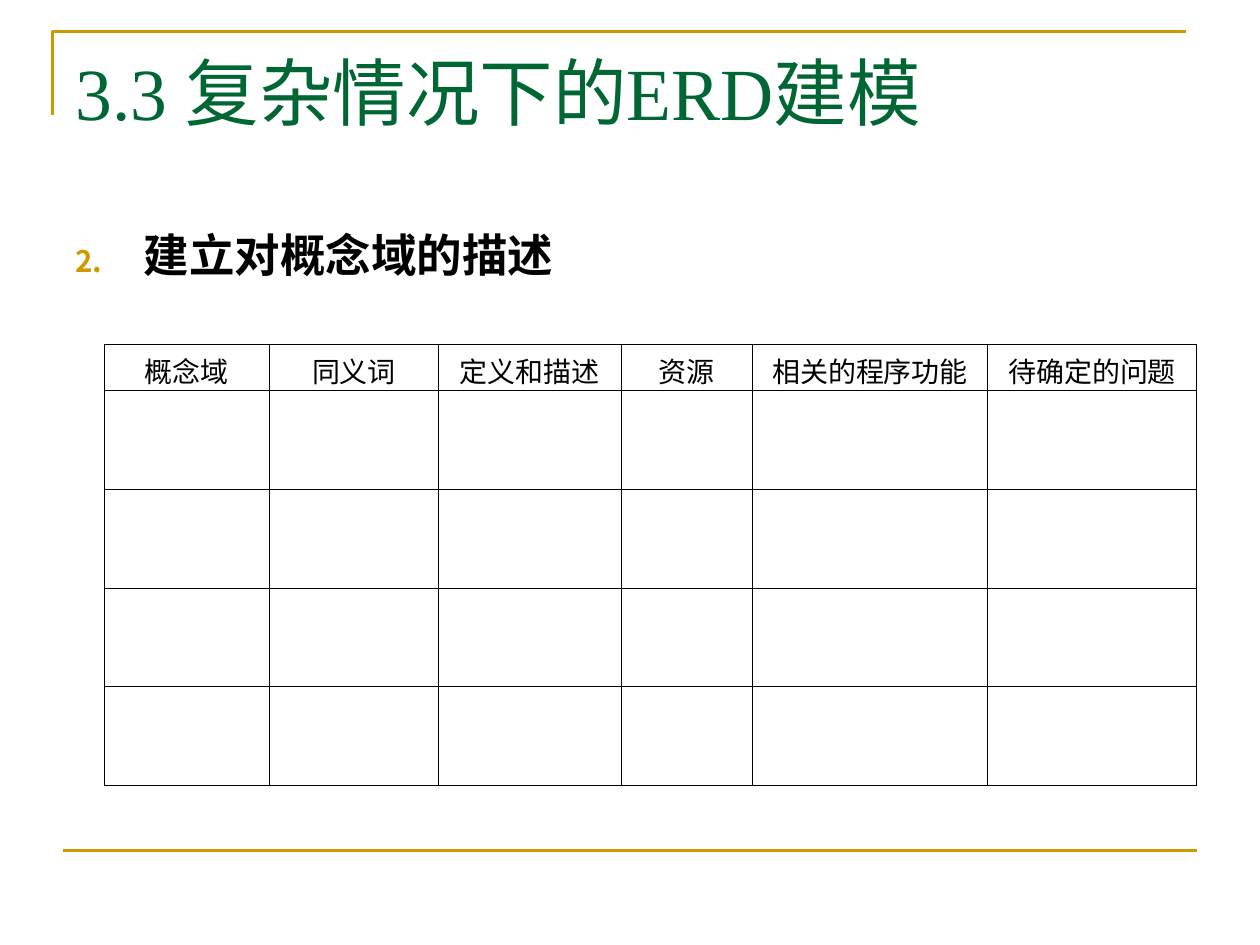
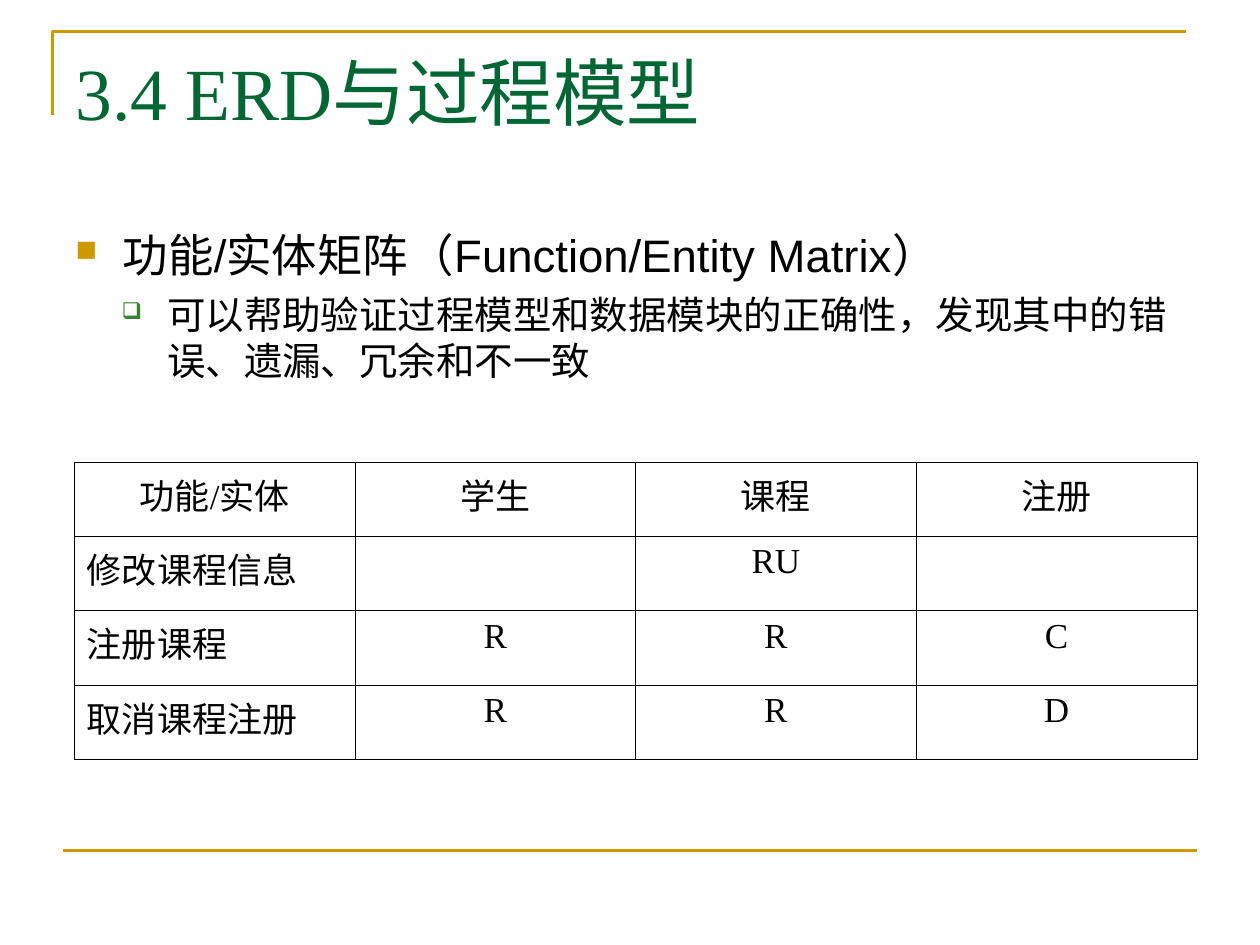
from lxml.etree import SubElement
from pptx import Presentation
from pptx.dml.color import RGBColor
from pptx.enum.shapes import MSO_CONNECTOR as Connector
from pptx.enum.text import MSO_ANCHOR as Anchor, MSO_AUTO_SIZE as AutoSize, PP_ALIGN as Align
from pptx.oxml.ns import qn
from pptx.util import Pt

COLORS = {"gold": "CC9900", "title": "006633", "leaf": "3B812F", "text": "000000"}
LATIN = "Times New Roman"
SANS = "Arial"

NUMBER = ("buAutoNum", {"type": "arabicPeriod", "startAt": "2"})
SQUARE = ("buChar", {"char": "■"})
BOX = ("buChar", {"char": "❑"})

PAGES = [
    {
        "title": "3.3 复杂情况下的ERD建模",
        "body_width": 318,
        "points": [
            {"text": "建立对概念域的描述", "level": 0, "size": 26, "bold": True, "margin": 39,
             "hang": 39, "before": 0, "bullet": NUMBER, "color": "gold", "scale": 65},
        ],
        "left": 59.5, "top": 196.5, "size": 16,
        "columns": [94.5, 96.5, 104.5, 75, 134.5, 119.5],
        "rows": [26.5] + [56.5] * 4,
        "cells": [["概念域", "同义词", "定义和描述", "资源", "相关的程序功能", "待确定的问题"]]
                 + [[""] * 6] * 4,
    },
    {
        "title": "3.4 ERD与过程模型",
        "body_width": 653,
        "points": [
            {"text": "功能/实体矩阵（Function/Entity Matrix）", "level": 0, "size": 26, "bold": False,
             "margin": 27, "hang": 27, "before": 0, "bullet": SQUARE, "color": "gold", "scale": 65},
            {"text": "可以帮助验证过程模型和数据模块的正确性，发现其中的错误、遗漏、冗余和不一致",
             "level": 1, "size": 22, "bold": False, "margin": 52.5, "hang": 26,
             "before": 5.5, "bullet": BOX, "color": "leaf", "scale": 60},
        ],
        "left": 42.5, "top": 264, "size": 20,
        "columns": [641.5 / 4] * 4,
        "rows": [42.5] * 4,
        "cells": [["功能/实体", "学生", "课程", "注册"],
                  ["修改课程信息", "", "RU", ""],
                  ["注册课程", "R", "R", "C"],
                  ["取消课程注册", "R", "R", "D"]],
    },
]


def style_font(font, name, size, color, bold=False):
    font.name = name
    font.size = Pt(size)
    font.bold = bold
    font.color.rgb = RGBColor.from_string(COLORS[color])


def add_tag(parent, tag, **attributes):
    return SubElement(parent, qn("a:" + tag), attributes)


deck = Presentation()
deck.slide_width, deck.slide_height = Pt(720), Pt(540)

for content in PAGES:
    page = deck.slides.add_slide(deck.slide_layouts[5])

    builder = page.shapes.build_freeform(Pt(30), Pt(66))
    builder.add_line_segments([(Pt(30), Pt(18)), (Pt(678), Pt(18))], close=False)
    corner = builder.convert_to_shape()
    corner.shadow.inherit = False
    corner.fill.background()
    rule = page.shapes.add_connector(Connector.STRAIGHT, Pt(36), Pt(486), Pt(684), Pt(486))
    add_tag(rule.element.spPr, "effectLst")
    for ornament in (corner, rule):
        ornament.line.color.rgb = RGBColor.from_string(COLORS["gold"])
        ornament.line.width = Pt(1.5)

    title = page.shapes.title
    title.left, title.top, title.width, title.height = Pt(36), Pt(21.5), Pt(648), Pt(90)
    frame = title.text_frame
    frame.text = content["title"]
    frame.auto_size = AutoSize.NONE
    frame.vertical_anchor = Anchor.TOP
    para = frame.paragraphs[0]
    para.alignment = Align.LEFT
    para.line_spacing = Pt(52)
    style_font(para.runs[0].font, LATIN, 42, "title")

    body = page.shapes.add_textbox(Pt(36), Pt(126), Pt(content["body_width"]), Pt(356.5))
    frame = body.text_frame
    frame.word_wrap = True
    for index, point in enumerate(content["points"]):
        para = frame.add_paragraph() if index else frame.paragraphs[0]
        para.text = point["text"]
        para.level = point["level"]
        para.space_before = Pt(point["before"])
        para.line_spacing = Pt(round(point["size"] * 1.2, 1))
        props = para._p.get_or_add_pPr()
        props.set("marL", str(Pt(point["margin"])))
        props.set("indent", str(-Pt(point["hang"])))
        add_tag(add_tag(props, "buClr"), "srgbClr", val=COLORS[point["color"]])
        add_tag(props, "buSzPct", val=str(point["scale"] * 1000))
        tag, attributes = point["bullet"]
        add_tag(props, tag, **attributes)
        style_font(para.runs[0].font, SANS, point["size"], "text", point["bold"])

    widths, heights = content["columns"], content["rows"]
    table = page.shapes.add_table(len(heights), len(widths), Pt(content["left"]), Pt(content["top"]),
                                  Pt(sum(widths)), Pt(sum(heights))).table
    table.first_row = table.horz_banding = False
    for column, width in zip(table.columns, widths):
        column.width = Pt(width)
    for row, height, words in zip(table.rows, heights, content["cells"]):
        row.height = Pt(height)
        for index, (cell, word) in enumerate(zip(row.cells, words)):
            props = cell._tc.get_or_add_tcPr()
            for side in ("lnL", "lnR", "lnT", "lnB"):
                border = add_tag(props, side, w=str(Pt(0.45)))
                add_tag(add_tag(border, "solidFill"), "srgbClr", val=COLORS["text"])
            cell.fill.background()
            if word:
                cell.text = word
                para = cell.text_frame.paragraphs[0]
                is_label = index == 0 and row is not table.rows[0] and words is not content["cells"][0]
                para.alignment = Align.LEFT if is_label else Align.CENTER
                style_font(para.runs[0].font, LATIN, content["size"], "text")

deck.save("out.pptx")
